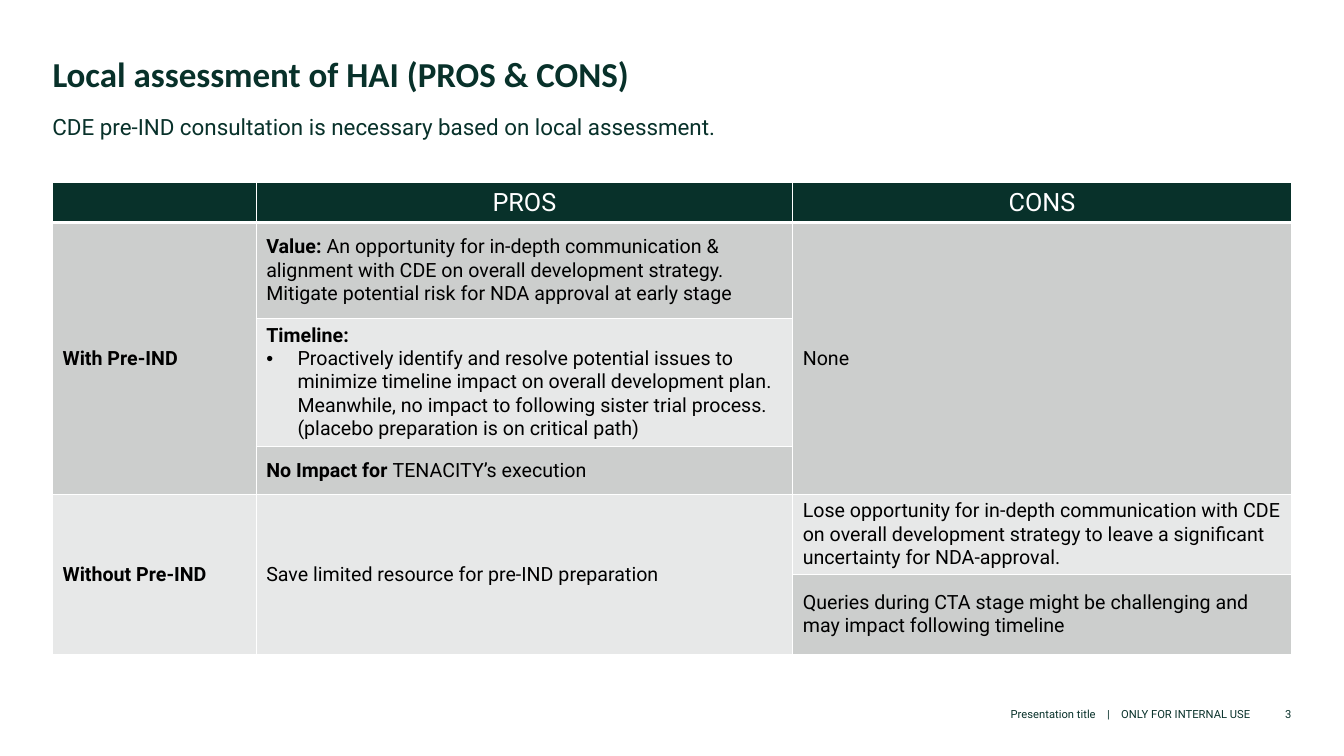
from dataclasses import dataclass

import pptx
import pptx.dml.color
import pptx.enum.text
import pptx.oxml
import pptx.oxml.ns
import pptx.util

Align = pptx.enum.text.PP_ALIGN
Anchor = pptx.enum.text.MSO_ANCHOR
SLIDE_WIDTH, SLIDE_HEIGHT = pptx.util.Inches(13.33), pptx.util.Inches(7.5)
GRID_COLUMNS, GRID_ROWS = 128, 72


@dataclass(frozen=True)
class Theme:
    heading_font: str = "Calibri"
    body_font: str = "Roboto"
    green: str = "08312A"
    white: str = "FFFFFF"
    black: str = "000000"
    dark_band: str = "CCCECD"
    light_band: str = "E7E8E8"
    title_size: int = 25
    header_size: int = 18
    subtitle_size: int = 16
    cell_size: int = 14
    footer_size: int = 8


THEME = Theme()


@dataclass(frozen=True)
class Box:
    """A place in grid columns and rows."""
    left: float
    top: float
    width: float
    height: float


@dataclass(frozen=True)
class Line:
    """One paragraph: a bold lead, then regular text."""
    lead: str = ""
    text: str = ""
    bullet: bool = False


@dataclass(frozen=True)
class Entry:
    row: int
    column: int
    fill: str
    lines: tuple[Line, ...]
    row_span: int = 1


TITLE_BOX = Box(5, 5, 118, 7.6)
SUBTITLE_BOX = Box(5, 9.8, 97.8, 3.4)
TABLE_BOX = Box(5, 17.4, 118, 45)
FOOTER_BOX = Box(66.2, 65.6, 52.9, 3)
NUMBER_BOX = Box(120, 65.6, 3, 3)
COLUMN_WIDTHS = (19.4, 51.1, 47.5)
ROW_HEIGHTS = (3.8, 9.1, 12.2, 4.6, 7.5, 7.7)
HEADERS = ("", "PROS", "CONS")

ENTRIES = (
    Entry(1, 0, THEME.dark_band, (Line("With Pre-IND"),), 3),
    Entry(1, 1, THEME.dark_band, (Line(
        "Value: ", "An opportunity for in-depth communication & alignment with CDE on overall "
        "development strategy. Mitigate potential risk for NDA approval at early stage"),)),
    Entry(1, 2, THEME.dark_band, (Line(text="None"),), 3),
    Entry(2, 1, THEME.light_band, (
        Line("Timeline:"),
        Line(text="Proactively identify and resolve potential issues to minimize timeline impact "
             "on overall development plan. Meanwhile, no impact to following sister trial process. "
             "(placebo preparation is on critical path)", bullet=True))),
    Entry(3, 1, THEME.dark_band, (Line("No Impact for ", "TENACITY’s execution"),)),
    Entry(4, 0, THEME.light_band, (Line("Without Pre-IND"),), 2),
    Entry(4, 1, THEME.light_band, (Line(text="Save limited resource for pre-IND preparation"),), 2),
    Entry(4, 2, THEME.light_band, (Line(
        text="Lose opportunity for in-depth communication with CDE on overall development "
        "strategy to leave a significant uncertainty for NDA-approval."),)),
    Entry(5, 2, THEME.dark_band, (Line(
        text="Queries during CTA stage might be challenging and may impact following timeline"),)),
)


def across(columns: float) -> int:
    return round(SLIDE_WIDTH * columns / GRID_COLUMNS)


def down(rows: float) -> int:
    return round(SLIDE_HEIGHT * rows / GRID_ROWS)


def place(box: Box) -> tuple[int, int, int, int]:
    return across(box.left), down(box.top), across(box.width), down(box.height)


def rgb(color: str) -> pptx.dml.color.RGBColor:
    return pptx.dml.color.RGBColor.from_string(color)


def style(paragraph, size: int, color: str = THEME.green,
          font: str = THEME.body_font, align=Align.LEFT, bold: bool = False) -> None:
    paragraph.alignment = align
    paragraph.font.name = font
    paragraph.font.size = pptx.util.Pt(size)
    paragraph.font.color.rgb = rgb(color)
    paragraph.font.bold = bold


def prepare_frame(shape, anchor=Anchor.TOP):
    frame = shape.text_frame
    frame.margin_left = frame.margin_right = frame.margin_top = frame.margin_bottom = 0
    frame.word_wrap = True
    frame.auto_size = pptx.enum.text.MSO_AUTO_SIZE.NONE
    frame.vertical_anchor = anchor
    return frame.paragraphs[0]


def add_text(slide, box: Box, anchor=Anchor.TOP):
    return prepare_frame(slide.shapes.add_textbox(*place(box)), anchor)


def add_bullet(paragraph) -> None:
    properties = paragraph._p.get_or_add_pPr()
    indent = pptx.util.Inches(0.31)
    properties.set("marL", str(indent))
    properties.set("indent", str(-indent))
    namespace = pptx.oxml.ns.nsdecls("a")
    properties.append(pptx.oxml.parse_xml(f'<a:buFont {namespace} typeface="Arial"/>'))
    properties.append(pptx.oxml.parse_xml(f'<a:buChar {namespace} char="•"/>'))


def format_cell(cell, fill: str, bottom_line: int = 1) -> None:
    properties = cell._tc.get_or_add_tcPr()
    for side, points in (("L", 1), ("R", 1), ("T", 1), ("B", bottom_line)):
        properties.append(pptx.oxml.parse_xml(
            f'<a:ln{side} {pptx.oxml.ns.nsdecls("a")} w="{pptx.util.Pt(points)}">'
            f'<a:solidFill><a:srgbClr val="{THEME.white}"/></a:solidFill></a:ln{side}>'))
    cell.fill.solid()
    cell.fill.fore_color.rgb = rgb(fill)
    cell.vertical_anchor = Anchor.MIDDLE


def write_entry(table, entry: Entry) -> None:
    last_row = entry.row + entry.row_span - 1
    for row in range(entry.row, last_row + 1):
        format_cell(table.cell(row, entry.column), entry.fill)
    cell = table.cell(entry.row, entry.column)
    if entry.row_span > 1:
        cell.merge(table.cell(last_row, entry.column))
    for index, line in enumerate(entry.lines):
        frame = cell.text_frame
        paragraph = frame.add_paragraph() if index else frame.paragraphs[0]
        if line.bullet:
            add_bullet(paragraph)
        style(paragraph, THEME.cell_size, THEME.black)
        for text, bold in ((line.lead, True), (line.text, False)):
            if text:
                run = paragraph.add_run()
                run.text = text
                run.font.bold = bold


def add_comparison(slide) -> None:
    table = slide.shapes.add_table(len(ROW_HEIGHTS), len(COLUMN_WIDTHS), *place(TABLE_BOX)).table
    table.first_row = table.horz_banding = False
    for column, width in zip(table.columns, COLUMN_WIDTHS):
        column.width = across(width)
    for row, height in zip(table.rows, ROW_HEIGHTS):
        row.height = down(height)
    for index, header in enumerate(HEADERS):
        cell = table.cell(0, index)
        format_cell(cell, THEME.green, bottom_line=3)
        cell.text = header
        style(cell.text_frame.paragraphs[0], THEME.header_size, THEME.white, align=Align.CENTER)
    for entry in ENTRIES:
        write_entry(table, entry)


def add_footer(slide) -> None:
    footer = add_text(slide, FOOTER_BOX, Anchor.BOTTOM)
    style(footer, THEME.footer_size, align=Align.RIGHT)
    footer.space_after = pptx.util.Pt(3)
    for text in ("Presentation title", " ", "|", " ", "ONLY FOR INTERNAL USE"):
        run = footer.add_run()
        run.text = text
        if text == " ":  # widen the gap beside the divider
            run._r.get_or_add_rPr().set("spc", "600")
    number = add_text(slide, NUMBER_BOX, Anchor.BOTTOM)
    number.text = "3"
    style(number, THEME.footer_size, align=Align.RIGHT)


def main() -> None:
    presentation = pptx.Presentation()
    presentation.slide_width, presentation.slide_height = SLIDE_WIDTH, SLIDE_HEIGHT
    slide = presentation.slides.add_slide(presentation.slide_layouts[5])

    # Title and subtitle
    title = slide.shapes.title
    title.left, title.top, title.width, title.height = place(TITLE_BOX)
    heading = prepare_frame(title)
    heading.text = "Local assessment of HAI (PROS & CONS)"
    style(heading, THEME.title_size, font=THEME.heading_font, bold=True)
    subtitle = add_text(slide, SUBTITLE_BOX)
    subtitle.text = "CDE pre-IND consultation is necessary based on local assessment."
    subtitle.line_spacing = 1.4
    style(subtitle, THEME.subtitle_size)

    # Comparison table and footer
    add_comparison(slide)
    add_footer(slide)
    presentation.save("out.pptx")


if __name__ == "__main__":
    main()
